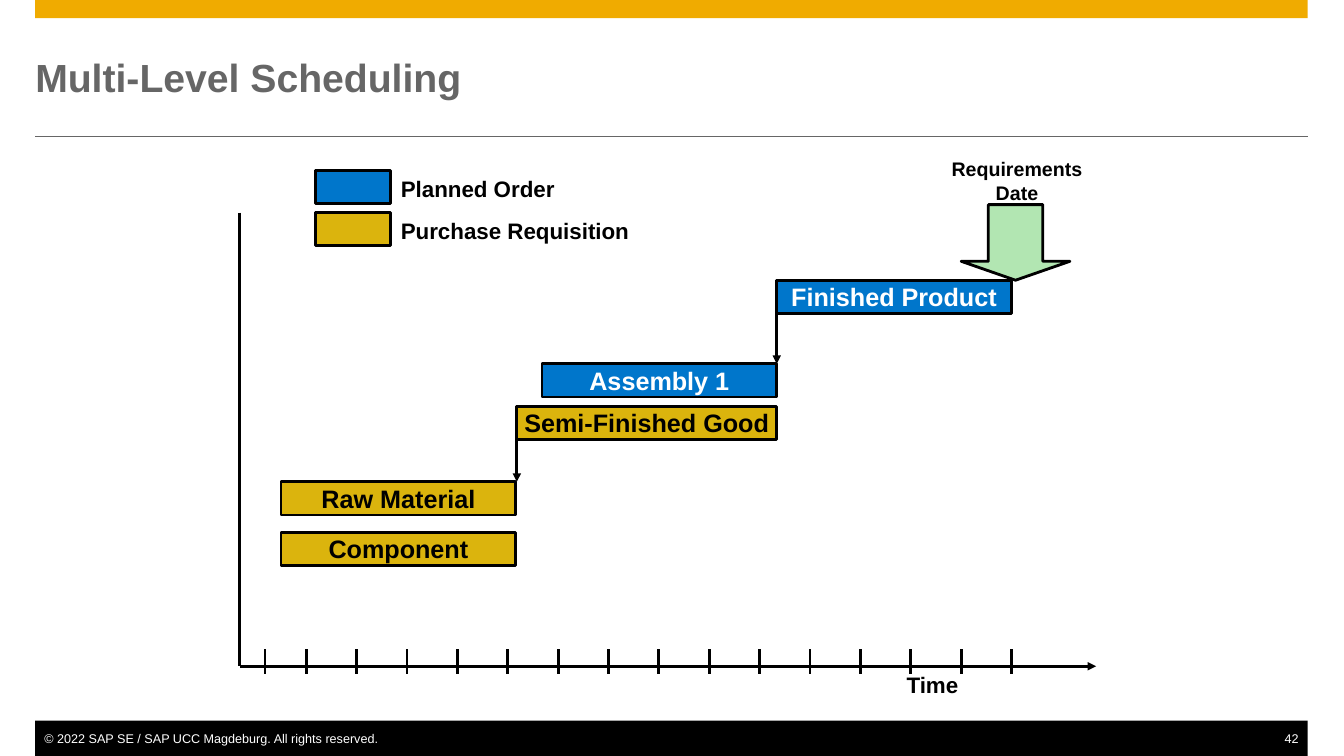
import pptx
import pptx.util
import pptx.dml.color
import pptx.enum.shapes
import pptx.enum.text
import pptx.oxml

PX = 9144  # EMU in one px, 100 px to the inch
SHAPE = pptx.enum.shapes.MSO_SHAPE
ALIGN = pptx.enum.text.PP_ALIGN
ANCHOR = pptx.enum.text.MSO_ANCHOR
NS = 'xmlns:a="http://schemas.openxmlformats.org/drawingml/2006/main"'
THEME = {
    "font": "Arial",
    "gold": "F0AB00", "grey": "666666", "black": "000000", "white": "FFFFFF",
    "order": "0076CB", "requisition": "DBB40D", "date": "B2E6B2",
    "title": 28, "bar": 18, "label": 16, "note": 14, "footer": 9,
    "line": 2, "rule": 0.5,
}

prs = pptx.Presentation()
prs.slide_width, prs.slide_height = 1334 * PX, 750 * PX
s = prs.slides.add_slide(prs.slide_layouts[5])


def write(sp, lines, size, color, bold=True, align=ALIGN.LEFT, anchor=ANCHOR.TOP,
          wrap=True, insets=(10, 5, 10, 5)):
    """Fill a shape with styled lines of text."""
    tf = sp.text_frame
    tf.word_wrap, tf.vertical_anchor = wrap, anchor
    tf.auto_size = pptx.enum.text.MSO_AUTO_SIZE.NONE
    tf.margin_left, tf.margin_top, tf.margin_right, tf.margin_bottom = [i * PX for i in insets]
    for i, line in enumerate(lines):
        p = tf.add_paragraph() if i else tf.paragraphs[0]
        p.alignment = align
        r = p.add_run()
        r.text = line
        r.font.name, r.font.size, r.font.bold = THEME["font"], pptx.util.Pt(THEME[size]), bold
        r.font.color.rgb = pptx.dml.color.RGBColor.from_string(THEME[color])


def draw(kind, box, fill=None, line="black", width="line", arrow=False):
    """Add a filled shape at left, top, width, height, or a line between two points."""
    ends = [v * PX for v in box]
    if kind == "line":
        sp = s.shapes.add_connector(pptx.enum.shapes.MSO_CONNECTOR.STRAIGHT, *ends)
    else:
        sp = s.shapes.add_shape(kind, *ends)
        sp.shadow.inherit = False
        sp.fill.solid()
        sp.fill.fore_color.rgb = pptx.dml.color.RGBColor.from_string(THEME[fill])
    if line:
        sp.line.color.rgb = pptx.dml.color.RGBColor.from_string(THEME[line])
        sp.line.width = pptx.util.Pt(THEME[width])
    else:
        sp.line.fill.background()
    if arrow:
        sp.line._get_or_add_ln().append(pptx.oxml.parse_xml(f'<a:tailEnd {NS} type="triangle"/>'))
    if kind == "line":
        sp._element.spPr.append(pptx.oxml.parse_xml(f"<a:effectLst {NS}/>"))
    return sp


# Top band, title rule and footer
draw(SHAPE.RECTANGLE, (35, 0, 1263, 18), "gold", None)
draw("line", (35, 135, 1298, 135), line="grey", width="rule")
draw(SHAPE.RECTANGLE, (35, 715, 1263, 35), "black", None)
sp = s.shapes.add_textbox(35 * PX, 725 * PX, 345 * PX, 15 * PX)
write(sp, ["© 2022 SAP SE / SAP UCC Magdeburg. All rights reserved."], "footer", "white",
      bold=False, wrap=False, insets=(9, 0, 0, 0))
sp = s.shapes.add_textbox(1273 * PX, 725 * PX, 25 * PX, 15 * PX)
write(sp, ["42"], "footer", "white", bold=False, align=ALIGN.RIGHT, insets=(0, 0, 9, 0))

# Title
title = s.shapes.title
title.left, title.top, title.width, title.height = 35 * PX, 35 * PX, 1263 * PX, 83 * PX
write(title, ["Multi-Level Scheduling"], "title", "grey", anchor=ANCHOR.MIDDLE,
      insets=(0, 0, 0, 0))

# Axes and time ticks
draw("line", (238, 211, 238, 661))
draw("line", (238, 661, 1088, 661), arrow=True)
for x in [263] + [304 + 50 * i for i in range(15)]:
    draw("line", (x, 644, x, 669))
sp = s.shapes.add_textbox(838 * PX, 661 * PX, 175 * PX, 37 * PX)
write(sp, ["Time"], "label", "black", align=ALIGN.CENTER)

# Scheduled items
bars = [
    ("Finished Product", 771, 278, 233, "order", "white"),
    ("Assembly 1", 538, 361, 233, "order", "white"),
    ("Semi-Finished Good", 513, 403, 258, "requisition", "black"),
    ("Raw Material", 279, 478, 233, "requisition", "black"),
    ("Component", 279, 528, 233, "requisition", "black"),
]
for name, x, y, w, fill, color in bars:
    sp = draw(SHAPE.RECTANGLE, (x, y, w, 33), fill)
    write(sp, [name], "bar", color, align=ALIGN.CENTER, anchor=ANCHOR.MIDDLE, wrap=False)

# Dependencies between levels
for x, top, bottom in [(771, 278, 361), (513, 403, 478)]:
    draw("line", (x, top, x, bottom), arrow=True)

# Requirements date
arrow = draw(SHAPE.DOWN_ARROW, (954, 203, 108, 75), "date")
arrow.adjustments[0], arrow.adjustments[1] = 0.5, 0.25
sp = s.shapes.add_textbox(926 * PX, 151 * PX, 167 * PX, 57 * PX)
write(sp, ["Requirements", "Date"], "note", "black", align=ALIGN.CENTER)

# Legend
for i, (name, fill) in enumerate([("Planned Order", "order"),
                                  ("Purchase Requisition", "requisition")]):
    y = 169 + 42 * i
    draw(SHAPE.RECTANGLE, (313, y, 75, 33), fill)
    sp = s.shapes.add_textbox(388 * PX, y * PX, 325 * PX, 37 * PX)
    write(sp, [name], "label", "black")

prs.save("out.pptx")
